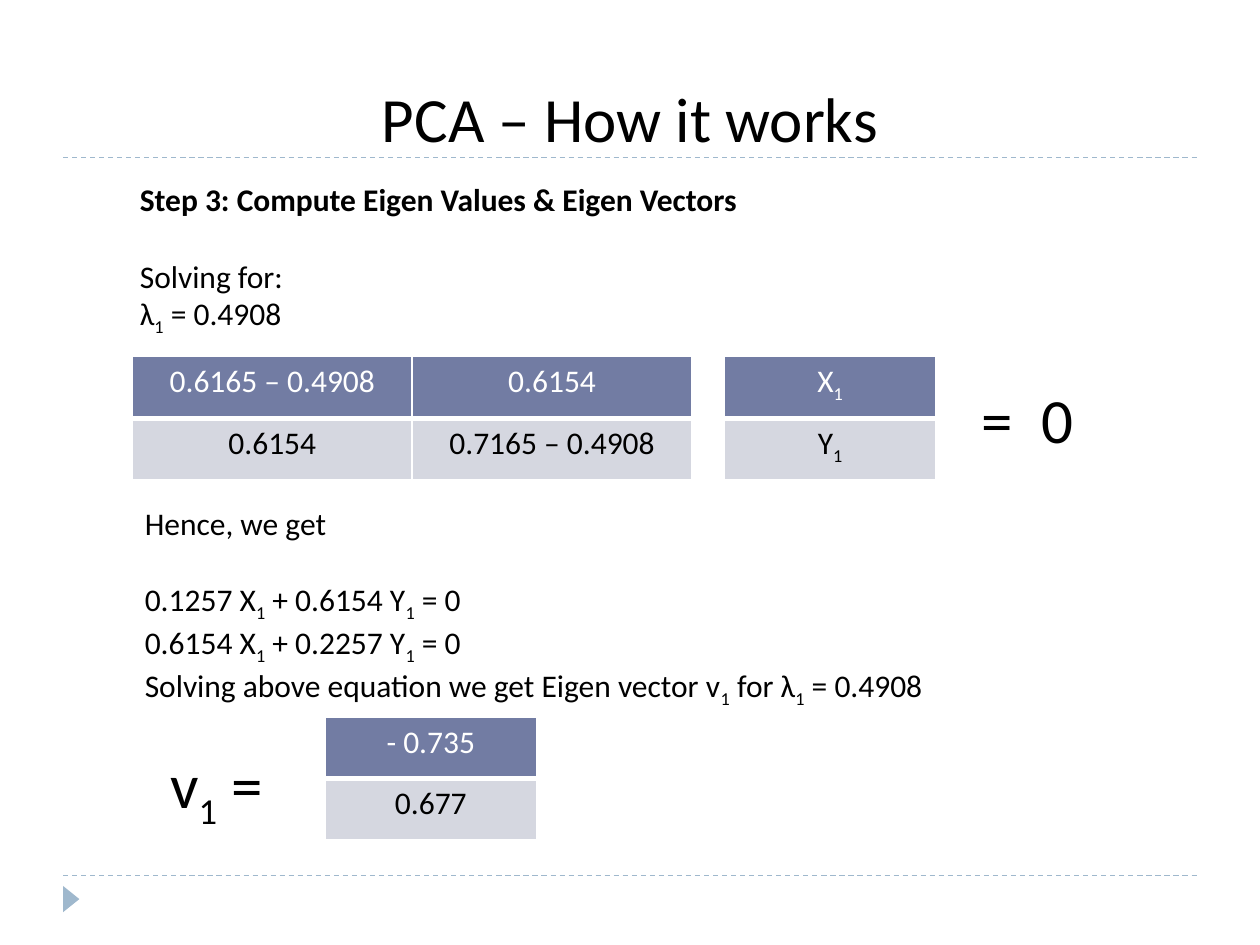
from dataclasses import dataclass
from lxml.etree import SubElement as Sub
from pptx import Presentation
from pptx.dml.color import RGBColor as Rgb
from pptx.enum.dml import MSO_LINE as Dash
from pptx.enum.shapes import MSO_CONNECTOR as Link, MSO_SHAPE as Form
from pptx.enum.text import PP_ALIGN as Align
from pptx.oxml.ns import qn
from pptx.util import Cm, Pt


@dataclass(frozen=True)
class Theme:
    font: str = "Calibri"
    ink: str = "000000"
    white: str = "FFFFFF"
    head: str = "727CA3"
    body: str = "D5D7E0"
    trim: str = "9FB8CD"
    big: int = 36
    small: int = 18
    gap: int = 22
    thin: int = 1
    thick: int = 3


look = Theme()
SUB = "|"

texts = [
    dict(at=(7.39, 1.47, 10.62, 1.8), size=look.big, align=Align.CENTER,
         wrap=False, lines=["PCA – How it works"]),
    dict(at=(2.57, 3.51, 21.29, 3.33), size=look.small, align=Align.JUSTIFY,
         wrap=True, bold=0, gap=1,
         lines=["Step 3: Compute Eigen Values & Eigen Vectors",
                "Solving for:", "λ|1| = 0.4908"]),
    dict(at=(19.53, 7.54, 2.62, 1.8), size=look.big, align=Align.LEFT,
         wrap=False, lines=["=  0"]),
    dict(at=(2.67, 10.03, 16.71, 4.11), size=look.small, align=Align.LEFT,
         wrap=True, gap=1,
         lines=["Hence, we get",
                "0.1257 X|1| + 0.6154 Y|1| = 0",
                "0.6154 X|1| + 0.2257 Y|1| = 0",
                "Solving above equation we get Eigen vector v|1| for λ|1| = 0.4908"]),
    dict(at=(3.18, 14.91, 2.97, 1.8), size=look.big, align=Align.LEFT,
         wrap=False, lines=["v|1| ="]),
]

ROW = 1.24
grids = [
    (2.67, 7.19, 5.64, [["0.6165 – 0.4908", "0.6154"],
                        ["0.6154", "0.7165 – 0.4908"]]),
    (14.6, 7.19, 4.27, [["X|1"], ["Y|1"]]),
    (6.55, 14.45, 4.27, [["- 0.735"], ["0.677"]]),
]
rules = [3.18, 17.65]
EDGE, END = 1.27, 24.13

deck = Presentation()
deck.slide_width, deck.slide_height = Cm(25.4), Cm(19.05)
slide = deck.slides.add_slide(deck.slide_layouts[6])
parts = slide.shapes


def tint(name):
    return Rgb.from_string(name)


def write(para, line, size, color, align, bold=False):
    para.alignment = align
    for spot, piece in enumerate(line.split(SUB)):
        if not piece:
            continue
        run = para.add_run()
        run.text = piece
        font = run.font
        font.name, font.size, font.bold = look.font, Pt(size), bold
        font.color.rgb = tint(color)
        if spot % 2:
            run._r.get_or_add_rPr().set("baseline", "-25000")


def place(at, size, align, wrap, lines, bold=None, gap=None):
    frame = parts.add_textbox(*map(Cm, at)).text_frame
    frame.word_wrap = wrap
    for spot, line in enumerate(lines):
        para = frame.add_paragraph() if spot else frame.paragraphs[0]
        write(para, line, size, look.ink, align, spot == bold)
        if spot == gap:
            para.space_before = Pt(look.gap)


def frame_cell(cell, top, low):
    props = cell._tc.get_or_add_tcPr()
    for side, width in zip("LRTB", (look.thin, look.thin, top, low)):
        edge = Sub(props, qn("a:ln" + side), w=str(Pt(width)))
        Sub(Sub(edge, qn("a:solidFill")), qn("a:srgbClr"), val=look.white)


def matrix(left, top, width, rows):
    wide, high = len(rows[0]), len(rows)
    table = parts.add_table(high, wide, Cm(left), Cm(top),
                            Cm(width * wide), Cm(ROW * high)).table
    for col in table.columns:
        col.width = Cm(width)
    for r, row in enumerate(rows):
        table.rows[r].height = Cm(ROW)
        fill, ink, *edges = (
            (look.body, look.ink, look.thick, look.thin) if r
            else (look.head, look.white, look.thin, look.thick))
        for c, line in enumerate(row):
            cell = table.cell(r, c)
            frame_cell(cell, *edges)
            cell.fill.solid()
            cell.fill.fore_color.rgb = tint(fill)
            write(cell.text_frame.paragraphs[0], line, look.small, ink,
                  Align.CENTER)


for y in rules:
    rule = parts.add_connector(Link.STRAIGHT, Cm(EDGE), Cm(y), Cm(END), Cm(y))
    rule.line.color.rgb = tint(look.trim)
    rule.line.width = Pt(0.75)
    rule.line.dash_style = Dash.DASH
    Sub(rule._element.spPr, qn("a:effectLst"))

mark = parts.add_shape(Form.ISOSCELES_TRIANGLE,
                       Cm(1.17), Cm(17.96), Cm(0.53), Cm(0.33))
mark.rotation = 90
mark.shadow.inherit = False
mark.fill.solid()
mark.fill.fore_color.rgb = tint(look.trim)
mark.line.fill.background()

for text in texts:
    place(**text)
for grid in grids:
    matrix(*grid)

deck.save("out.pptx")
